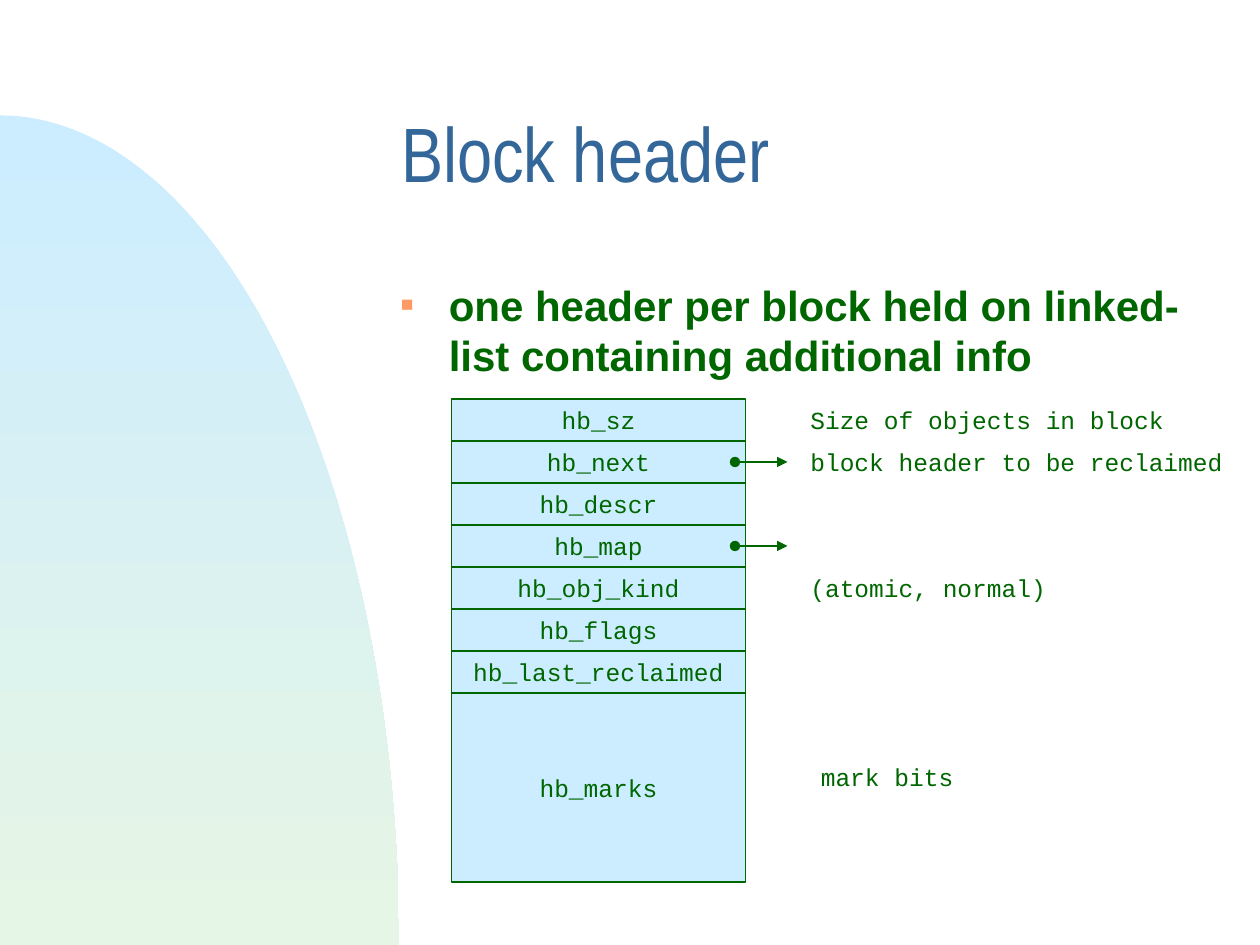
import math

import pptx
import pptx.dml.color
import pptx.enum.shapes
import pptx.enum.text
import pptx.oxml
import pptx.oxml.ns
import pptx.util

GREEN, SKY = "006600", "CCECFF"
UNIT = pptx.util.Inches(1 / 12)  # the slide is a grid of 120 columns and 90 rows
COLUMNS, ROWS = 120, 90
ROW_HEIGHT = 4
# Field name, height in field rows, has a pointer arrow
FIELDS = [
    ("hb_sz", 1, False),
    ("hb_next", 1, True),
    ("hb_descr", 1, False),
    ("hb_map", 1, True),
    ("hb_obj_kind", 1, False),
    ("hb_flags", 1, False),
    ("hb_last_reclaimed", 1, False),
    ("hb_marks", 4.5, False),
]
# Note, column offset, field row beside it
NOTES = [
    ("Size of objects in block", 0, 0),
    ("block header to be reclaimed", 0, 1),
    ("(atomic, normal)", 0, 4),
    ("mark bits", 1, 8.5),
]


def color(value):
    return pptx.dml.color.RGBColor.from_string(value)


def grid(*lengths):
    return [round(length * UNIT) for length in lengths]


def add_xml(parent, tag, **attributes):
    element = pptx.oxml.parse_xml(f"<a:{tag} {pptx.oxml.ns.nsdecls('a')}/>")
    for name, value in attributes.items():
        element.set(name, str(value))
    parent.append(element)
    return element


def write(shape, text, size=14, font="Courier New", fill=GREEN, bold=False,
          align="LEFT", anchor="TOP", wrap=False, spacing=None, bullet=None):
    frame = shape.text_frame
    frame.auto_size = pptx.enum.text.MSO_AUTO_SIZE.NONE
    frame.word_wrap = wrap
    frame.vertical_anchor = getattr(pptx.enum.text.MSO_ANCHOR, anchor)
    paragraph = frame.paragraphs[0]
    paragraph.text = text
    paragraph.alignment = getattr(pptx.enum.text.PP_ALIGN, align)
    if spacing:
        paragraph.line_spacing = spacing
    if bullet:
        properties = paragraph._p.get_or_add_pPr()
        indent = pptx.util.Inches(0.38)
        properties.set("marL", str(indent))
        properties.set("indent", str(-indent))
        add_xml(add_xml(properties, "buClr"), "srgbClr", val=bullet)
        add_xml(properties, "buSzPct", val=50000)
        add_xml(properties, "buFont", typeface="Arial")
        add_xml(properties, "buChar", char="■")
    run_font = paragraph.runs[0].font
    run_font.name = font
    run_font.size = pptx.util.Pt(size)
    run_font.bold = bold
    run_font.color.rgb = color(fill)


def add_backdrop(slide, left, top, width, height):
    """Quarter ellipse rising from the bottom left corner, behind everything."""
    left, top, width, height = grid(left, top, width, height)
    steps = 120
    arc = [(left + width * math.sin(step / steps * math.pi / 2),
            top + height * (1 - math.cos(step / steps * math.pi / 2)))
           for step in range(steps + 1)]
    builder = slide.shapes.build_freeform(*arc[0])
    builder.add_line_segments(arc[1:] + [(left, top + height)], close=True)
    shape = builder.convert_to_shape()
    shape.shadow.inherit = False
    shape.line.fill.background()
    shape.fill.gradient()
    shape.fill.gradient_angle = 270
    for stop, value in zip(shape.fill.gradient_stops, (SKY, "E6F6E6")):
        stop.color.rgb = color(value)
    slide.shapes._spTree.insert(2, shape._element)


def place_title(slide, left, top, width, height):
    title = slide.shapes.title
    title.left, title.top, title.width, title.height = grid(left, top, width, height)
    write(title, "Block header", size=44, font="Arial Narrow", fill="336699",
          anchor="MIDDLE", wrap=True, spacing=0.7)


def add_body(slide, left, top, width, height):
    box = slide.shapes.add_textbox(*grid(left, top, width, height))
    write(box, "one header per block held on linked-list containing additional info",
          size=24, font="Arial", bold=True, wrap=True, bullet="FF9966")


def add_pointer(slide, left, middle, width):
    arrow = slide.shapes.add_connector(
        pptx.enum.shapes.MSO_CONNECTOR.STRAIGHT, *grid(left, middle, left + width, middle))
    arrow.line.color.rgb = color(GREEN)
    arrow.line.width = pptx.util.Pt(0.75)
    line = arrow.line._get_or_add_ln()
    add_xml(line, "headEnd", type="oval")
    add_xml(line, "tailEnd", type="triangle")
    add_xml(arrow._element.spPr, "effectLst")


def add_fields(slide, left, top, width):
    """Stack of header fields, with an arrow leaving each pointer field."""
    for name, rows, is_pointer in FIELDS:
        height = rows * ROW_HEIGHT
        field = slide.shapes.add_shape(
            pptx.enum.shapes.MSO_SHAPE.RECTANGLE, *grid(left, top, width, height))
        field.shadow.inherit = False
        field.fill.solid()
        field.fill.fore_color.rgb = color(SKY)
        field.line.color.rgb = color(GREEN)
        field.line.width = pptx.util.Pt(0.75)
        write(field, name, align="CENTER", anchor="MIDDLE")
        if is_pointer:
            add_pointer(slide, left + width - 1, top + height / 2, 5)
        top += height


def add_notes(slide, left, top, width):
    for text, offset, row in NOTES:
        box = slide.shapes.add_textbox(
            *grid(left + offset, top + row * ROW_HEIGHT, width - offset, ROW_HEIGHT))
        write(box, text)


def main():
    presentation = pptx.Presentation()
    presentation.slide_width, presentation.slide_height = grid(COLUMNS, ROWS)
    slide = presentation.slides.add_slide(presentation.slide_layouts[5])
    add_backdrop(slide, 0, 11, 38, ROWS - 11)
    place_title(slide, 37, 8, 80, 15)
    add_body(slide, 37, 26, 80, 54)
    add_fields(slide, 43, 38, 28)
    add_notes(slide, 76, 38, 42)
    presentation.save("out.pptx")


if __name__ == "__main__":
    main()
